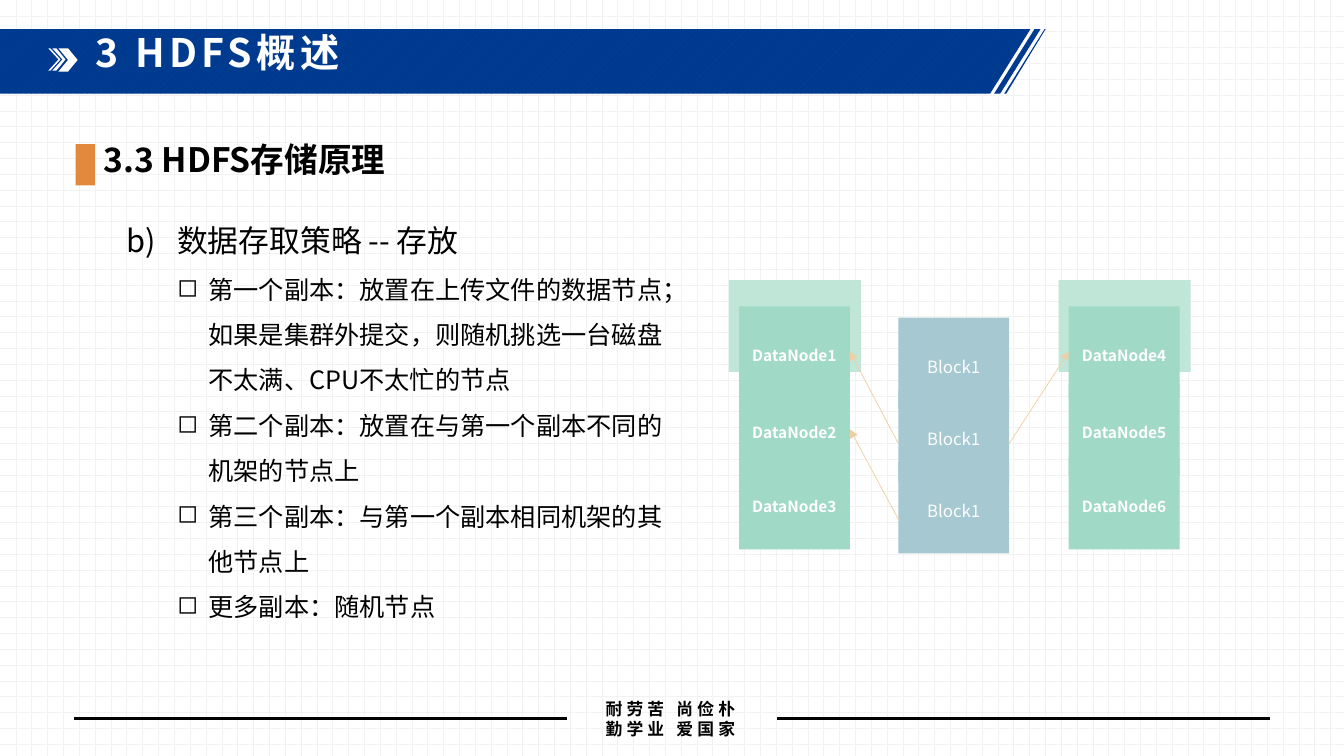
from dataclasses import dataclass

import pptx
import pptx.dml.color
import pptx.enum.dml
import pptx.enum.shapes
import pptx.enum.text
import pptx.oxml.ns
import pptx.util
from lxml import etree

PX = 9144  # EMU in one px, 100 px to the inch
FONT = "Noto Sans CJK SC"
WHITE, BLACK = "FFFFFF", "000000"
TRAY, NODE, BLOCK, ARROW = "C0E6D8", "A0D9C5", "A6C8D1", "F0CEA3"
CENTER = pptx.enum.text.PP_ALIGN.CENTER
RECT = pptx.enum.shapes.MSO_SHAPE.RECTANGLE
PATTERN = pptx.enum.dml.MSO_PATTERN


@dataclass
class TextStyle:
    size: int
    color: str = BLACK
    bold: bool = False
    tracking: int = 0
    line_spacing: float = 1.0
    centered: bool = False


@dataclass
class Rack:
    left: int
    nodes: list[str]


@dataclass
class Line:
    start: tuple[int, int]
    end: tuple[int, int]
    color: str
    width: float
    arrow: bool = False


TITLE = TextStyle(28, WHITE, True, 3, 0.9)
HEADING = TextStyle(24, BLACK, True, 0, 0.9)
MOTTO = TextStyle(12, BLACK, True, 3, centered=True)
TOPIC = TextStyle(22, line_spacing=1.5)
RULE = TextStyle(18, line_spacing=1.5)
NODE_LABEL = TextStyle(11, WHITE, True, 0, 1.3, True)
BLOCK_LABEL = TextStyle(12, WHITE, False, 0, 1.3, True)

BANNER = [
    [(1036, 29), (1037, 29), (998, 93), (996, 93)],
    [(1026, 29), (1032, 29), (992, 93), (986, 93)],
    [(0, 29), (1022, 29), (982, 93), (0, 93)],
]
CHEVRON_STRIPES = [
    [(52, 48), (56, 48), (65, 59), (56, 70), (52, 70), (62, 59)],
    [(48, 48), (50, 48), (60, 59), (50, 70), (48, 70), (58, 59)],
]
FOOTER_LINES = [
    Line((1260, 713), (771, 713), BLACK, 2),
    Line((562, 713), (73, 713), BLACK, 2),
]
PLACEMENT_RULES = [
    "第一个副本：放置在上传文件的数据节点；如果是集群外提交，则随机挑选一台磁盘不太满、CPU不太忙的节点",
    "第二个副本：放置在与第一个副本不同的机架的节点上",
    "第三个副本：与第一个副本相同机架的其他节点上",
    "更多副本：随机节点",
]
RACKS = [
    Rack(723, ["DataNode1", "DataNode2", "DataNode3"]),
    Rack(1050, ["DataNode4", "DataNode5", "DataNode6"]),
]
NODE_TOPS = [304, 381, 454]
BLOCK_TOPS = [315, 387, 458]
REPLICA_ARROWS = [
    Line((891, 440), (843, 349), ARROW, 0.5, True),
    Line((892, 517), (843, 426), ARROW, 0.5, True),
    Line((1001, 440), (1060, 349), ARROW, 0.5, True),
]


def rgb(color: str) -> pptx.dml.color.RGBColor:
    return pptx.dml.color.RGBColor.from_string(color)


def add_element(parent, tag: str, **attributes: str):
    child = etree.SubElement(parent, pptx.oxml.ns.qn(tag))
    for name, value in attributes.items():
        child.set(name, value)
    return child


def set_pattern(fill, pattern, fore: str, back: str) -> None:
    fill.patterned()
    fill.pattern = pattern
    fill.fore_color.rgb = rgb(fore)
    fill.back_color.rgb = rgb(back)


def finish_shape(shape, color: str) -> None:
    """Give a flat fill with no line and no shadow."""
    shape.fill.solid()
    shape.fill.fore_color.rgb = rgb(color)
    shape.line.fill.background()
    shape.shadow.inherit = False


def write(paragraph, text: str, style: TextStyle) -> None:
    paragraph.line_spacing = style.line_spacing
    if style.centered:
        paragraph.alignment = CENTER
    run = paragraph.add_run()
    run.text = text
    run.font.size = pptx.util.Pt(style.size)
    run.font.bold = style.bold
    run.font.color.rgb = rgb(style.color)
    run.font.name = FONT
    properties = run.font._element
    add_element(properties, "a:ea", typeface=FONT)
    if style.tracking:
        properties.set("spc", str(style.tracking * 100))


def add_box(slide, left: int, top: int, width: int, height: int, color: str,
            preset=RECT):
    box = slide.shapes.add_shape(
        preset, left * PX, top * PX, width * PX, height * PX)
    finish_shape(box, color)
    return box


def add_label_box(slide, left: int, top: int, color: str, label: str,
                  style: TextStyle) -> None:
    frame = add_box(slide, left, top, 110, 91, color).text_frame
    frame.vertical_anchor = pptx.enum.text.MSO_ANCHOR.MIDDLE
    write(frame.paragraphs[0], label, style)


def add_text(slide, left: int, top: int, width: int, height: int):
    frame = slide.shapes.add_textbox(
        left * PX, top * PX, width * PX, height * PX).text_frame
    frame.word_wrap = True
    return frame


def add_outline(slide, contours: list[list[tuple[int, int]]]):
    first, *others = contours
    builder = slide.shapes.build_freeform(*first[0], scale=PX)
    builder.add_line_segments(first[1:], close=True)
    for contour in others:
        builder.move_to(*contour[0])
        builder.add_line_segments(contour[1:], close=True)
    outline = builder.convert_to_shape()
    finish_shape(outline, WHITE)
    return outline


def add_line(slide, line: Line) -> None:
    connector = slide.shapes.add_connector(
        pptx.enum.shapes.MSO_CONNECTOR.STRAIGHT,
        *(value * PX for value in line.start + line.end))
    connector.line.color.rgb = rgb(line.color)
    connector.line.width = pptx.util.Pt(line.width)
    if line.arrow:
        add_element(connector.line._ln, "a:tailEnd", type="triangle")
    add_element(connector._element.spPr, "a:effectLst")


def add_bullet(paragraph, margin: int, hang: int, tag: str,
               **attributes: str) -> None:
    properties = paragraph._p.get_or_add_pPr()
    properties.set("marL", str(margin * PX))
    properties.set("indent", str(-hang * PX))
    add_element(properties, tag, **attributes)


def draw_frame(slide) -> None:
    """Draw the banner, footer and headings around the content."""
    set_pattern(slide.background.fill, PATTERN.DOTTED_GRID, "F2F2F2", WHITE)
    banner = add_outline(slide, BANNER)
    set_pattern(banner.fill, PATTERN.WIDE_UPWARD_DIAGONAL, "00449A", "003A8F")
    add_box(slide, 58, 48, 19, 23, WHITE, pptx.enum.shapes.MSO_SHAPE.CHEVRON)
    for stripe in CHEVRON_STRIPES:
        add_outline(slide, [stripe])

    motto = add_text(slide, 561, 688, 208, 50)
    motto.vertical_anchor = pptx.enum.text.MSO_ANCHOR.MIDDLE
    write(motto.paragraphs[0], "耐劳苦 尚俭朴", MOTTO)
    write(motto.add_paragraph(), "勤学业 爱国家", MOTTO)
    for line in FOOTER_LINES:
        add_line(slide, line)

    add_box(slide, 75, 143, 19, 41, "E3893D")
    title = add_text(slide, 85, 33, 818, 56)
    heading = add_text(slide, 93, 142, 1167, 41)
    title.margin_top = heading.margin_top = 0
    write(title.paragraphs[0], "3 HDFS概述", TITLE)
    write(heading.paragraphs[0], "3.3 HDFS存储原理", HEADING)


def draw_placement_rules(slide) -> None:
    frame = add_text(slide, 116, 197, 551, 424)
    topic = frame.paragraphs[0]
    add_bullet(topic, 50, 50, "a:buAutoNum", type="alphaLcParenR", startAt="2")
    write(topic, "数据存取策略 -- 存放", TOPIC)
    for text in PLACEMENT_RULES:
        paragraph = frame.add_paragraph()
        paragraph.level = 1
        add_bullet(paragraph, 81, 31, "a:buChar", char="◻")
        write(paragraph, text, RULE)


def draw_replicas(slide) -> None:
    for top in BLOCK_TOPS:
        add_label_box(slide, 891, top, BLOCK, "Block1", BLOCK_LABEL)
    for rack in RACKS:
        add_box(slide, rack.left, 278, 131, 91, TRAY)
        for top, name in zip(NODE_TOPS, rack.nodes):
            add_label_box(slide, rack.left + 10, top, NODE, name, NODE_LABEL)
    for arrow in REPLICA_ARROWS:
        add_line(slide, arrow)


def main() -> None:
    deck = pptx.Presentation()
    deck.slide_width, deck.slide_height = 1333 * PX, 750 * PX
    slide = deck.slides.add_slide(deck.slide_layouts[6])
    draw_frame(slide)
    draw_placement_rules(slide)
    draw_replicas(slide)
    deck.save("out.pptx")


if __name__ == "__main__":
    main()
